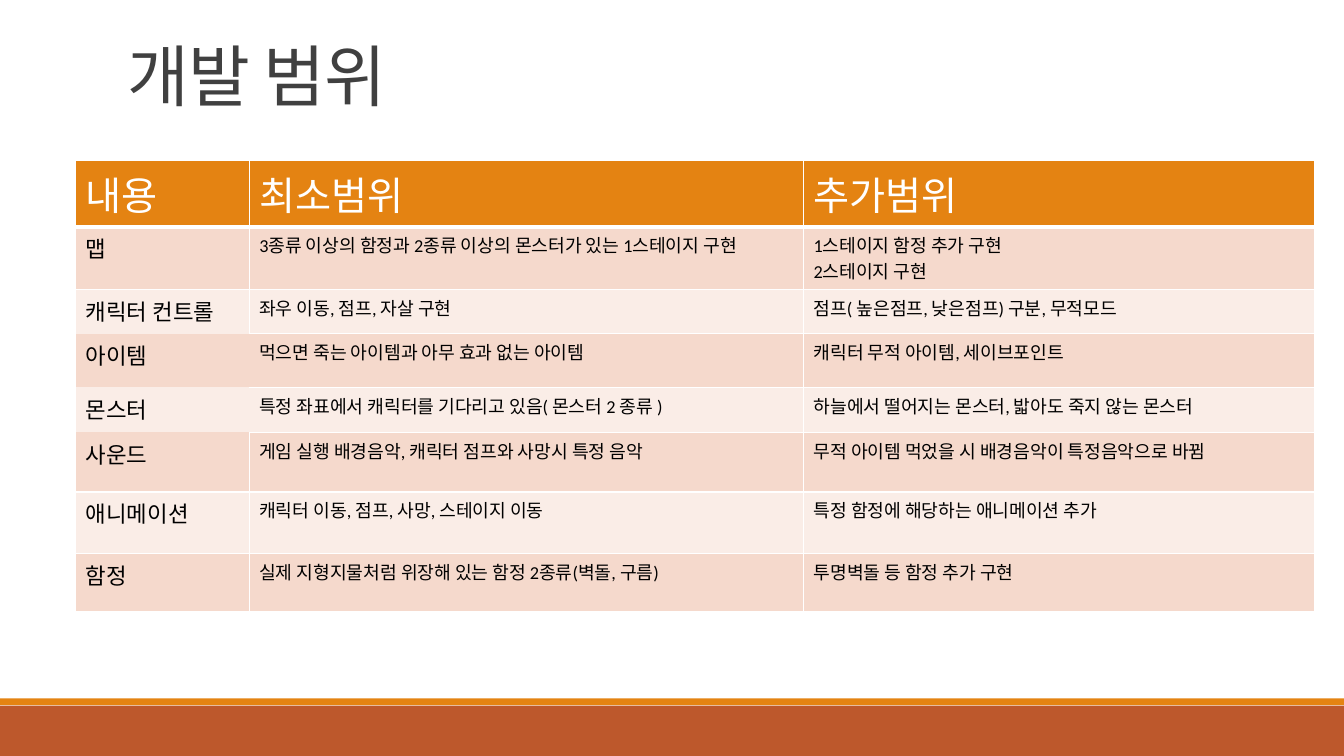
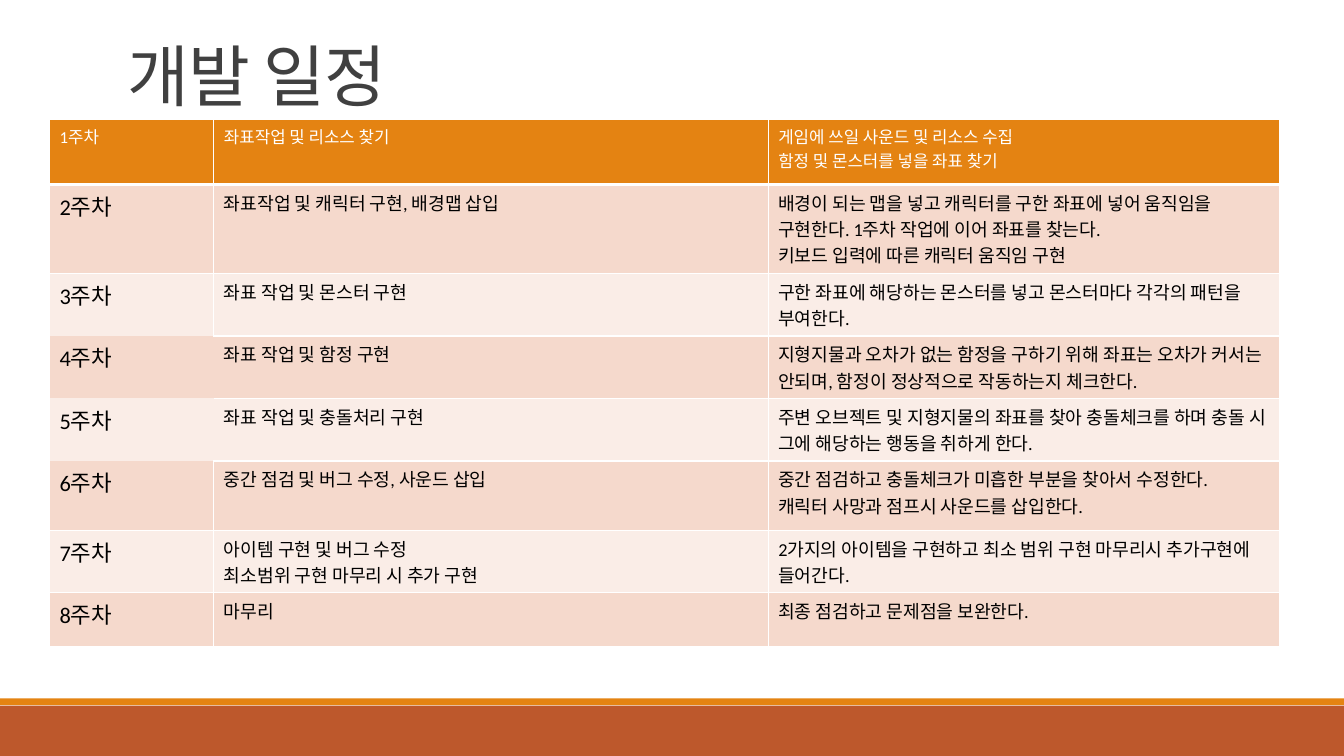
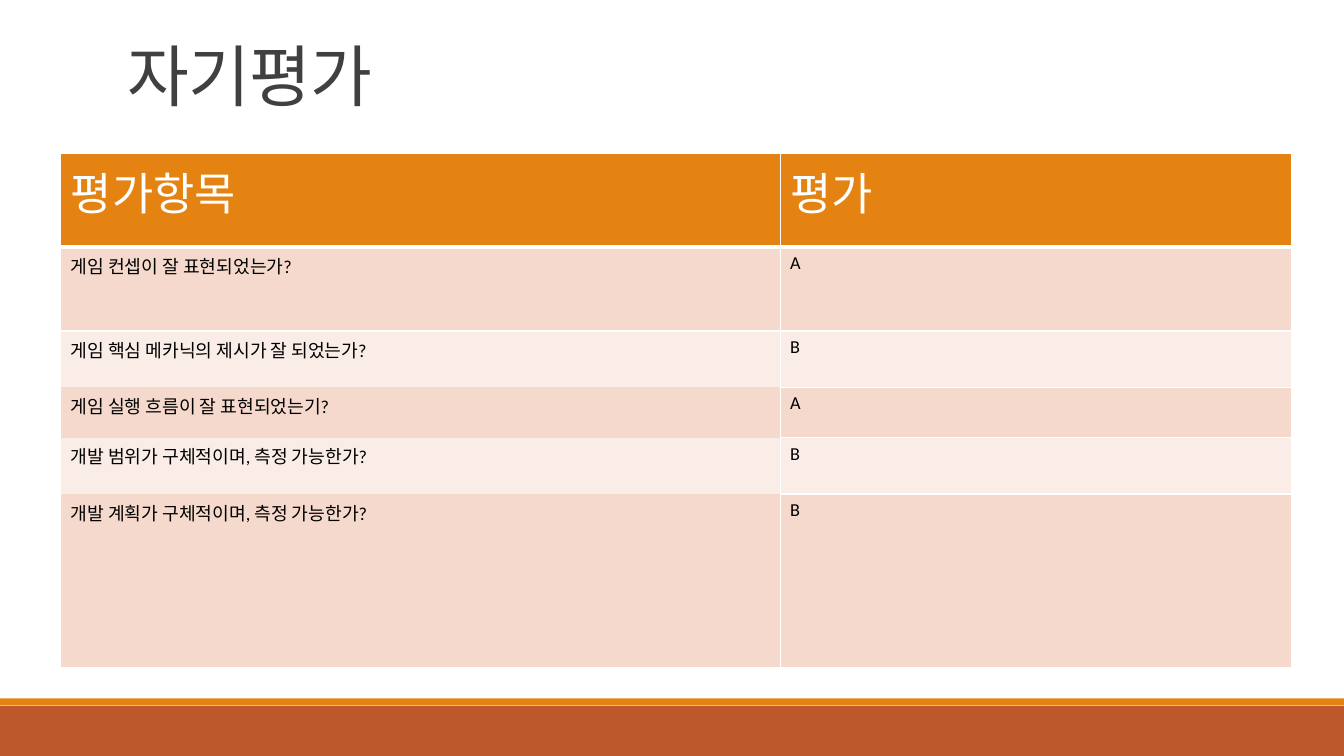
from lxml import etree
from pptx import Presentation
from pptx import util as u
from pptx.dml.color import RGBColor
from pptx.enum import shapes, text
from pptx.oxml.ns import qn

COLORS = {
    "band": "BD582C", "accent": "E48312", "title": "404040",
    "odd": "F5D9CC", "even": "FAEDE7", "text": "000000", "white": "FFFFFF",
}
OPEN_ROWS = (3, 4)  # rows whose first cell has no rules


def rgb(name):
    return RGBColor.from_string(COLORS[name])


class Deck:
    """Shared style and the current slide."""
    font = "Calibri"
    width, height = 33.87, 19.05

    def __init__(self):
        self.prs = Presentation()
        self.prs.slide_width = u.Cm(self.width)
        self.prs.slide_height = u.Cm(self.height)
        self.s = None

    def slide(self, title):
        self.s = self.prs.slides.add_slide(self.prs.slide_layouts[5])
        self.band(17.78, 1.27, "band")
        self.band(17.6, 0.17, "accent")
        self.title(title)

    def band(self, top, height, color):
        sp = self.s.shapes.add_shape(
            shapes.MSO_SHAPE.RECTANGLE, 0, u.Cm(top), u.Cm(self.width), u.Cm(height))
        sp.shadow.inherit = False
        sp.fill.solid()
        sp.fill.fore_color.rgb = rgb(color)
        sp.line.fill.background()

    def style(self, p, size, color):
        p.font.name = self.font
        p.font.size = u.Pt(size)
        p.font.bold = False
        p.font.color.rgb = rgb(color)

    def title(self, words):
        sp = self.s.shapes.title
        sp.left, sp.top = u.Cm(2.95), u.Cm(-1.02)
        sp.width, sp.height = u.Cm(27.94), u.Cm(4.04)
        tf = sp.text_frame
        tf.text = words
        tf.auto_size = text.MSO_AUTO_SIZE.NONE
        tf.vertical_anchor = text.MSO_ANCHOR.BOTTOM
        p = tf.paragraphs[0]
        p.alignment = text.PP_ALIGN.LEFT
        p.line_spacing = 0.85
        self.style(p, 48, "title")
        p._p.pPr.find(qn("a:defRPr")).set("spc", "-50")

    def borders(self, cell, widths):
        """Rule the cell; widths are points by side, 0 for no rule."""
        tcPr = cell._tc.get_or_add_tcPr()
        for side in "LRTB":
            ln = etree.SubElement(tcPr, qn("a:ln" + side), w=str(u.Pt(widths[side])))
            if widths[side]:
                fill = etree.SubElement(ln, qn("a:solidFill"))
                etree.SubElement(fill, qn("a:srgbClr"), val=COLORS["white"])
            else:
                etree.SubElement(ln, qn("a:noFill"))

    def rules(self, row, col, cols):
        """Border widths of one cell."""
        widths = dict.fromkeys("LRTB", 1)
        if row == 0:
            widths["B"] = 3
        if col == 0:
            if row in OPEN_ROWS:
                widths.update(L=0, T=0, B=0)
            if row + 1 in OPEN_ROWS:
                widths["B"] = 0
            if row - 1 in OPEN_ROWS:
                widths["T"] = 0
        if cols == 3 and row in OPEN_ROWS:
            if col == 0:
                widths["R"] = 0
            elif col == 1:
                widths["L"] = 0
        return widths

    def table(self, left, top, widths, heights, rows, head_size, label_size=13):
        tbl = self.s.shapes.add_table(
            len(rows), len(widths), u.Cm(left), u.Cm(top),
            u.Cm(sum(widths)), u.Cm(sum(heights))).table
        for column, width in zip(tbl.columns, widths):
            column.width = u.Cm(width)
        for i, (row, height) in enumerate(zip(rows, heights)):
            tbl.rows[i].height = u.Cm(height)
            fill = "accent" if i == 0 else "odd" if i % 2 else "even"
            for j, words in enumerate(row):
                cell = tbl.cell(i, j)
                self.borders(cell, self.rules(i, j, len(widths)))
                cell.fill.solid()
                cell.fill.fore_color.rgb = rgb(fill)
                cell.text_frame.text = words
                size = head_size if i == 0 else label_size if j == 0 else 13
                for p in cell.text_frame.paragraphs:
                    self.style(p, size, "text" if i else "white")


SCOPE = [
    ("내용", "최소범위", "추가범위"),
    ("맵", "3종류 이상의 함정과 2종류 이상의 몬스터가 있는 1스테이지 구현",
     "1스테이지 함정 추가 구현\n2스테이지 구현"),
    ("캐릭터 컨트롤", "좌우 이동, 점프, 자살 구현", "점프( 높은점프, 낮은점프) 구분, 무적모드"),
    ("아이템", "먹으면 죽는 아이템과 아무 효과 없는 아이템", "캐릭터 무적 아이템, 세이브포인트"),
    ("몬스터", "특정 좌표에서 캐릭터를 기다리고 있음( 몬스터 2 종류 )",
     "하늘에서 떨어지는 몬스터, 밟아도 죽지 않는 몬스터"),
    ("사운드", "게임 실행 배경음악, 캐릭터 점프와 사망시 특정 음악",
     "무적 아이템 먹었을 시 배경음악이 특정음악으로 바뀜"),
    ("애니메이션", "캐릭터 이동, 점프, 사망, 스테이지 이동", "특정 함정에 해당하는 애니메이션 추가"),
    ("함정", "실제 지형지물처럼 위장해 있는 함정 2종류(벽돌, 구름)", "투명벽돌 등 함정 추가 구현"),
]

SCHEDULE = [
    ("1주차", "좌표작업 및 리소스 찾기",
     "게임에 쓰일 사운드 및 리소스 수집\n함정 및 몬스터를 넣을 좌표 찾기"),
    ("2주차", "좌표작업 및 캐릭터 구현, 배경맵 삽입",
     "배경이 되는 맵을 넣고 캐릭터를 구한 좌표에 넣어 움직임을 구현한다. "
     "1주차 작업에 이어 좌표를 찾는다.\n키보드 입력에 따른 캐릭터 움직임 구현"),
    ("3주차", "좌표 작업 및 몬스터 구현",
     "구한 좌표에 해당하는 몬스터를 넣고 몬스터마다 각각의 패턴을 부여한다."),
    ("4주차", "좌표 작업 및 함정 구현",
     "지형지물과 오차가 없는 함정을 구하기 위해 좌표는 오차가 커서는 안되며, "
     "함정이 정상적으로 작동하는지 체크한다."),
    ("5주차", "좌표 작업 및 충돌처리 구현",
     "주변 오브젝트 및 지형지물의 좌표를 찾아 충돌체크를 하며 충돌 시 "
     "그에 해당하는 행동을 취하게 한다."),
    ("6주차", "중간 점검 및 버그 수정, 사운드 삽입",
     "중간 점검하고 충돌체크가 미흡한 부분을 찾아서 수정한다.\n"
     "캐릭터 사망과 점프시 사운드를 삽입한다."),
    ("7주차", "아이템 구현 및 버그 수정\n최소범위 구현 마무리 시 추가 구현",
     "2가지의 아이템을 구현하고 최소 범위 구현 마무리시 추가구현에 들어간다."),
    ("8주차", "마무리", "최종 점검하고 문제점을 보완한다."),
]

REVIEW = [
    ("평가항목", "평가"),
    ("게임 컨셉이 잘 표현되었는가?", "A"),
    ("게임 핵심 메카닉의 제시가 잘 되었는가?", "B"),
    ("게임 실행 흐름이 잘 표현되었는기?", "A"),
    ("개발 범위가 구체적이며, 측정 가능한가?", "B"),
    ("개발 계획가 구체적이며, 측정 가능한가?", "B"),
]


def main():
    deck = Deck()

    # Development scope
    deck.slide("개발 범위")
    deck.table(1.91, 4.03, (4.37, 13.97, 12.88),
               (1.65, 1.57, 1.12, 1.35, 1.14, 1.5, 1.55, 1.47),
               SCOPE, head_size=28, label_size=16)

    # Weekly schedule
    deck.slide("개발 일정")
    deck.table(1.25, 3, (4.14, 13.97, 12.88),
               (1.65, 2.24, 1.57, 1.57, 1.57, 1.75, 1.57, 1.35),
               SCHEDULE, head_size=12, label_size=16)

    # Self-review
    deck.slide("자기평가")
    deck.table(1.53, 3.87, (18.13, 12.88),
               (2.36, 2.11, 1.42, 1.27, 1.42, 4.37),
               REVIEW, head_size=32)

    deck.prs.save("out.pptx")


if __name__ == "__main__":
    main()
